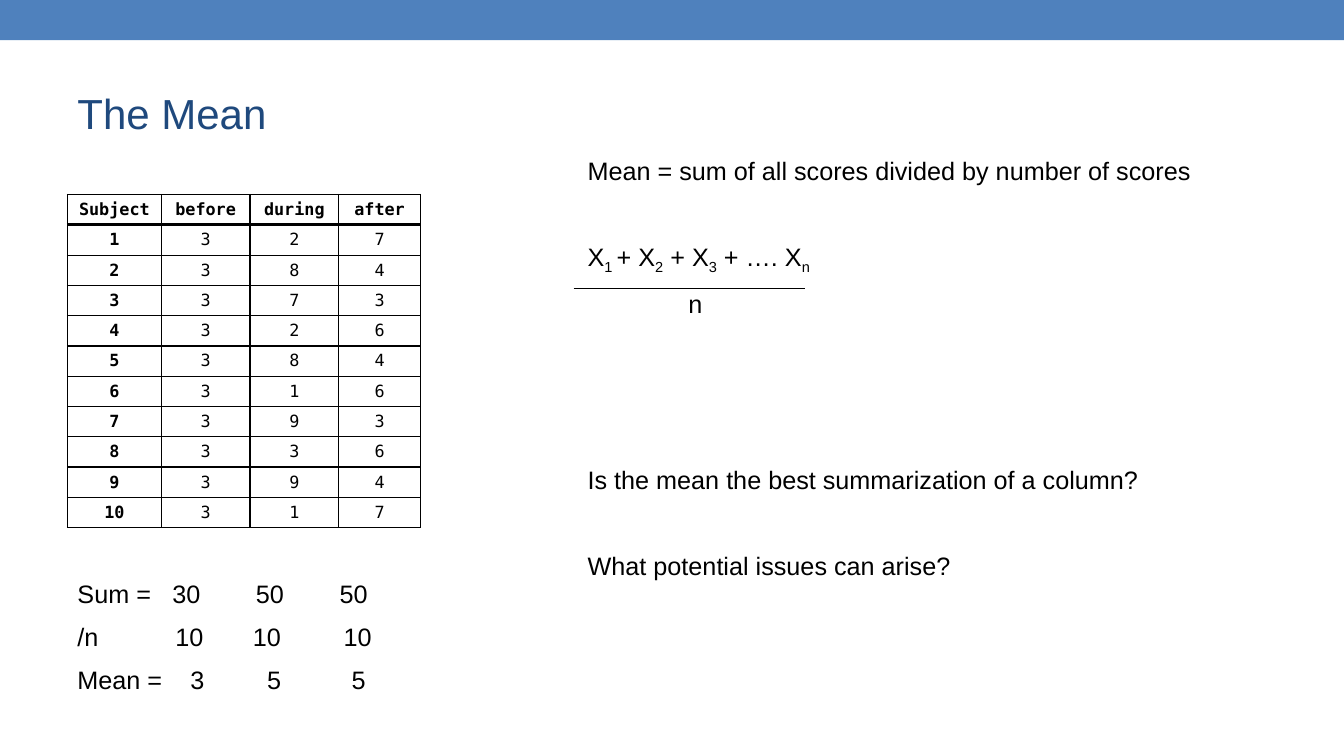
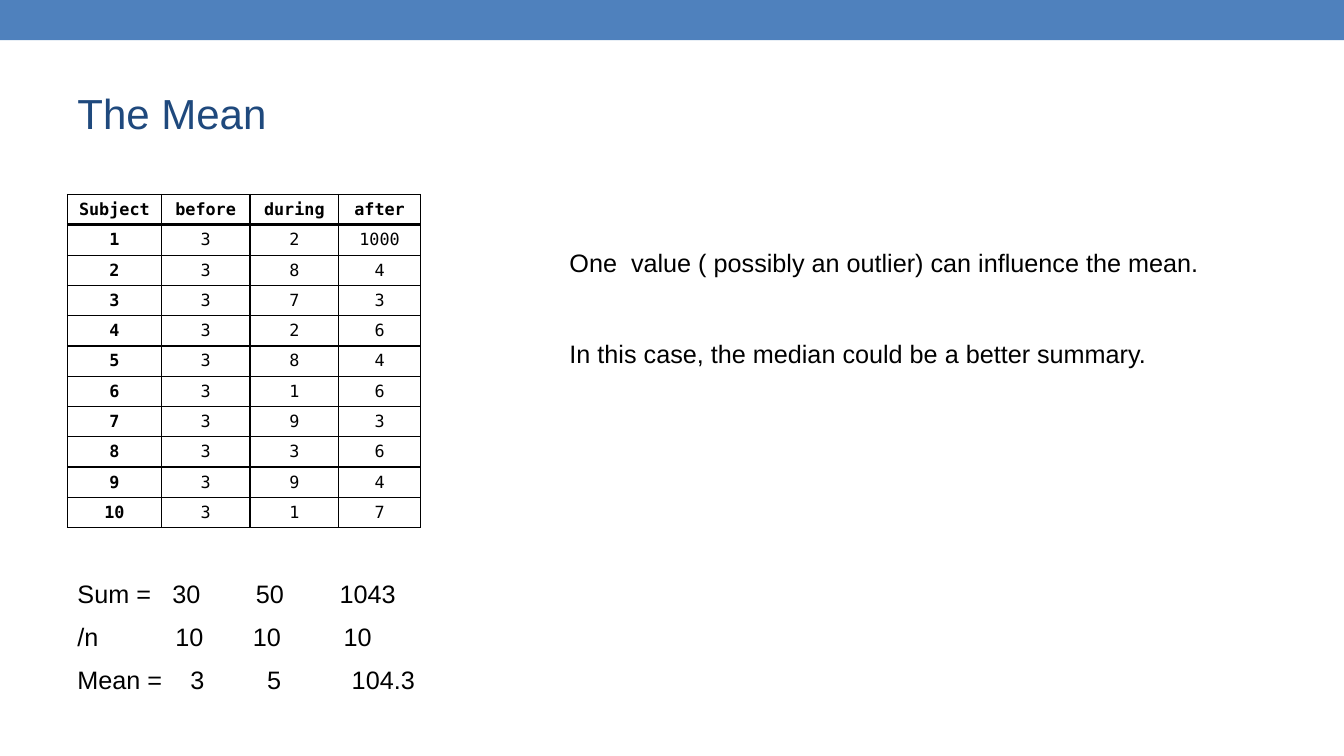
from pptx import Presentation
from pptx.dml.color import RGBColor
from pptx.enum.shapes import MSO_CONNECTOR as Connector, MSO_SHAPE as Preset
from pptx.enum.text import MSO_ANCHOR as Anchor, PP_ALIGN as Align
from pptx.oxml.ns import qn
from pptx.util import Inches, Pt
from lxml.etree import SubElement

COLORS = {"band": "4F81BD", "title": "1F497D", "ink": "000000"}
BODY_FONT, TABLE_FONT = "Arial", "DejaVu Sans Mono"
BODY_SIZE = 18

# Scores by subject: before, during, after
HEADINGS = ("Subject", "before", "during", "after")
SCORES = [(3, 2, 7), (3, 8, 4), (3, 7, 3), (3, 2, 6), (3, 8, 4),
          (3, 1, 6), (3, 9, 3), (3, 3, 6), (3, 9, 4), (3, 1, 7)]
OUTLIER_SCORES = [(3, 2, 1000)] + SCORES[1:]
COLUMN_WIDTHS = (0.93, 0.88, 0.88, 0.81)
TABLE_HEIGHT = 3.28

# Tab stops of the rows below the table
TOTAL_TABS = {"Sum =": (0.94, 1.77, 2.6),
              "/n": (0.97, 1.74, 2.64),
              "Mean =": (1.12, 1.88, 2.72)}


def color(key):
    return RGBColor.from_string(COLORS[key])


def set_font(paragraph, size=BODY_SIZE, ink="ink", name=BODY_FONT, bold=False):
    font = paragraph.font
    font.name, font.size, font.bold = name, Pt(size), bold
    font.color.rgb = color(ink)


def add_tabs(paragraph, stops):
    tab_list = SubElement(paragraph._p.get_or_add_pPr(), qn("a:tabLst"))
    for stop in stops:
        SubElement(tab_list, qn("a:tab"), pos=str(Inches(stop)), algn="l")


def add_text(slide, box, lines, **style):
    """Each line is (parts, space before, tab stops); odd parts are subscripts."""
    frame = slide.shapes.add_textbox(*map(Inches, box)).text_frame
    frame.word_wrap = True
    for i, (parts, space, stops) in enumerate(lines):
        paragraph = frame.add_paragraph() if i else frame.paragraphs[0]
        if stops:
            add_tabs(paragraph, stops)
        if i:
            paragraph.space_before = Pt(space)
        for j, part in enumerate(parts):
            run = paragraph.add_run()
            run.text = part
            if j % 2:
                run._r.get_or_add_rPr().set("baseline", "-25000")
        set_font(paragraph, **style)
    return frame


def add_base(prs, title):
    slide = prs.slides.add_slide(prs.slide_layouts[6])
    band = slide.shapes.add_shape(Preset.RECTANGLE, 0, 0, prs.slide_width, Inches(0.4))
    band.shadow.inherit = False
    band.fill.solid()
    band.fill.fore_color.rgb = color("band")
    band.line.fill.background()
    heading = add_text(slide, (0.67, 0.58, 12, 1.08), [([title], 0, ())],
                       size=30, ink="title")
    heading.vertical_anchor = Anchor.MIDDLE
    return slide


def set_borders(cell, **widths):
    properties = cell._tc.get_or_add_tcPr()
    for i, side in enumerate(("lnL", "lnR", "lnT", "lnB")):
        border = properties.makeelement(
            qn(f"a:{side}"), {"w": str(Pt(widths.get(side, 1)))})
        fill = SubElement(border, qn("a:solidFill"))
        SubElement(fill, qn("a:srgbClr"), val=COLORS["ink"])
        properties.insert(i, border)


def add_scores(slide, scores):
    rows = [HEADINGS] + [(n, *row) for n, row in enumerate(scores, 1)]
    table = slide.shapes.add_table(
        len(rows), len(HEADINGS), Inches(0.67), Inches(1.93),
        Inches(sum(COLUMN_WIDTHS)), Inches(TABLE_HEIGHT)).table
    table.first_row = table.horz_banding = False
    for column, width in zip(table.columns, COLUMN_WIDTHS):
        column.width = Inches(width)
    for r, row in enumerate(rows):
        for c, value in enumerate(row):
            cell = table.cell(r, c)
            cell.text = str(value)
            cell.vertical_anchor = Anchor.MIDDLE
            cell.fill.background()
            set_borders(cell, lnT=2.25 if r == 1 else 1, lnB=2.25 if r == 0 else 1)
            paragraph = cell.text_frame.paragraphs[0]
            paragraph.alignment = Align.CENTER
            set_font(paragraph, 12, name=TABLE_FONT, bold=r == 0 or c == 0)


def add_totals(slide, scores):
    sums = [sum(column) for column in zip(*scores)]
    count = len(scores)
    totals = (sums, [count] * len(sums), [f"{total / count:g}" for total in sums])
    lines = [(["\t".join(map(str, (label, *values)))], 9, stops)
             for (label, stops), values in zip(TOTAL_TABS.items(), totals)]
    add_text(slide, (0.67, 5.69, 5.49, 1.3), lines)


def add_fraction_bar(slide, left, right, y):
    bar = slide.shapes.add_connector(
        Connector.STRAIGHT, Inches(left), Inches(y), Inches(right), Inches(y))
    bar.line.color.rgb = color("ink")
    bar.line.width = Pt(0.75)
    SubElement(bar._element.spPr, qn("a:effectLst"))


def add_mean_slide(prs, scores, box, lines):
    slide = add_base(prs, "The Mean")
    add_scores(slide, scores)
    add_totals(slide, scores)
    add_text(slide, box, lines)
    return slide


def main():
    prs = Presentation()
    prs.slide_width, prs.slide_height = Inches(13.33), Inches(7.5)

    # Definition of the mean
    formula = ["X", "1 ", "+ X", "2", " + X", "3", " + …. X", "n"]
    definition = add_mean_slide(prs, SCORES, (5.73, 1.49, 7.18, 5.4), [
        (["Mean = sum of all scores divided by number of scores"], 0, ()),
        (formula, 40, ()),
        (["\tn"], 9, (1,)),
        (["Is the mean the best summarization of a column?"], 104, ()),
        (["What potential issues can arise?"], 40, ()),
    ])
    add_fraction_bar(definition, 5.69, 7.98, 2.86)

    # Effect of an outlier
    add_mean_slide(prs, OUTLIER_SCORES, (5.55, 2.4, 6.5, 1.92), [
        (["One  value ( possibly an outlier) can influence the mean."], 0, ()),
        (["In this case, the median could be a better summary."], 44, ()),
    ])

    prs.save("out.pptx")


if __name__ == "__main__":
    main()
